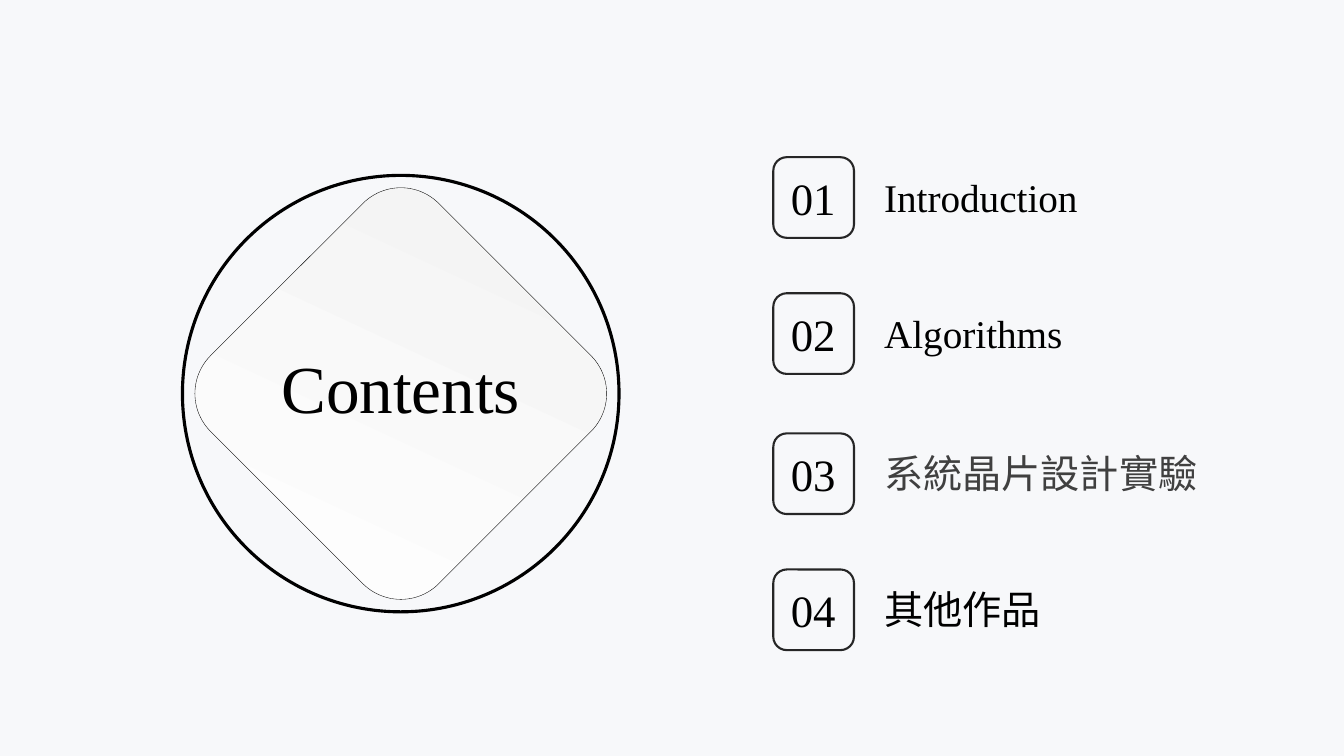
from pptx import Presentation
from pptx.dml.color import RGBColor
from pptx.enum.shapes import MSO_SHAPE
from pptx.enum.text import MSO_AUTO_SIZE, PP_ALIGN
from pptx.oxml.ns import qn
from pptx.util import Inches, Pt
from lxml.etree import SubElement

SERIF = "Times New Roman"
CHINESE = "Noto Sans CJK SC"
ENTRIES = [
    (1.56, "Introduction", SERIF, "000000"),
    (2.91, "Algorithms", SERIF, "000000"),
    (4.3, "系統晶片設計實驗", CHINESE, "404040"),
    (5.65, "其他作品", CHINESE, "000000"),
]


def color(value):
    """Turn a hex string into a colour."""
    return RGBColor.from_string(value)


def add_outline(shapes, kind, box, line=None, width=1):
    """Add an unfilled preset shape with an optional line."""
    shape = shapes.add_shape(kind, *map(Inches, box))
    shape.shadow.inherit = False
    shape.fill.background()
    if line:
        shape.line.color.rgb = color(line)
        shape.line.width = Pt(width)
    else:
        shape.line.fill.background()
    return shape


def add_text(shapes, text, box, size, font=SERIF, fill="000000", align=PP_ALIGN.LEFT, wrap=True):
    """Add a one-paragraph text box."""
    frame = shapes.add_textbox(*map(Inches, box)).text_frame
    frame.word_wrap = wrap
    frame.auto_size = MSO_AUTO_SIZE.SHAPE_TO_FIT_TEXT
    para = frame.paragraphs[0]
    para.alignment = align
    span = para.add_run()
    span.text = text
    span.font.size = Pt(size)
    span.font.name = font
    span.font.color.rgb = color(fill)
    SubElement(span.font._element, qn("a:ea")).set("typeface", font)


def add_background(page, width, height):
    """Cover the page with a pale panel."""
    panel = add_outline(page.shapes, MSO_SHAPE.RECTANGLE, (0, 0, width, height))
    panel.fill.solid()
    panel.fill.fore_color.rgb = color("F7F8FA")


def add_emblem(page, left, top, size):
    """Draw the ringed diamond with the page title."""
    side = 3.2
    inset = (size - side) / 2
    diamond = add_outline(page.shapes, MSO_SHAPE.ROUNDED_RECTANGLE,
                          (left + inset, top + inset, side, side), "000000", 0.25)
    diamond.rotation = 45
    diamond.fill.gradient()
    diamond.fill.gradient_angle = 110
    for stop, shade, position in zip(diamond.fill.gradient_stops, ("FFFFFF", "F2F2F2"), (0, 1)):
        stop.color.rgb = color(shade)
        stop.position = position
    add_outline(page.shapes, MSO_SHAPE.OVAL, (left, top, size, size), "000000", 2.25)
    add_text(page.shapes, "Contents", (left + 0.87, top + 1.65, 2.59, 0.91), 48,
             align=PP_ALIGN.CENTER, wrap=False)


def add_entry(page, left, top, number, label, font, fill):
    """Place a numbered badge and its label."""
    badge = page.shapes.add_group_shape()
    add_outline(badge.shapes, MSO_SHAPE.ROUNDED_RECTANGLE, (left, top, 0.8, 0.8), "262626", 1.5)
    add_text(badge.shapes, f"{number:02d}", (left + 0.07, top + 0.08, 0.65, 0.64), 32,
             align=PP_ALIGN.CENTER, wrap=False)
    add_text(page.shapes, label, (left + 1, top + 0.11, 4.29, 0.57), 28, font, fill)


def main():
    """Build and save the contents page."""
    deck = Presentation()
    deck.slide_width, deck.slide_height = Inches(13.33), Inches(7.5)
    page = deck.slides.add_slide(deck.slide_layouts[6])
    add_background(page, 13.33, 7.5)
    add_emblem(page, 1.81, 1.74, 4.33)
    for number, (top, label, font, fill) in enumerate(ENTRIES, 1):
        add_entry(page, 7.67, top, number, label, font, fill)
    deck.save("out.pptx")


if __name__ == "__main__":
    main()
